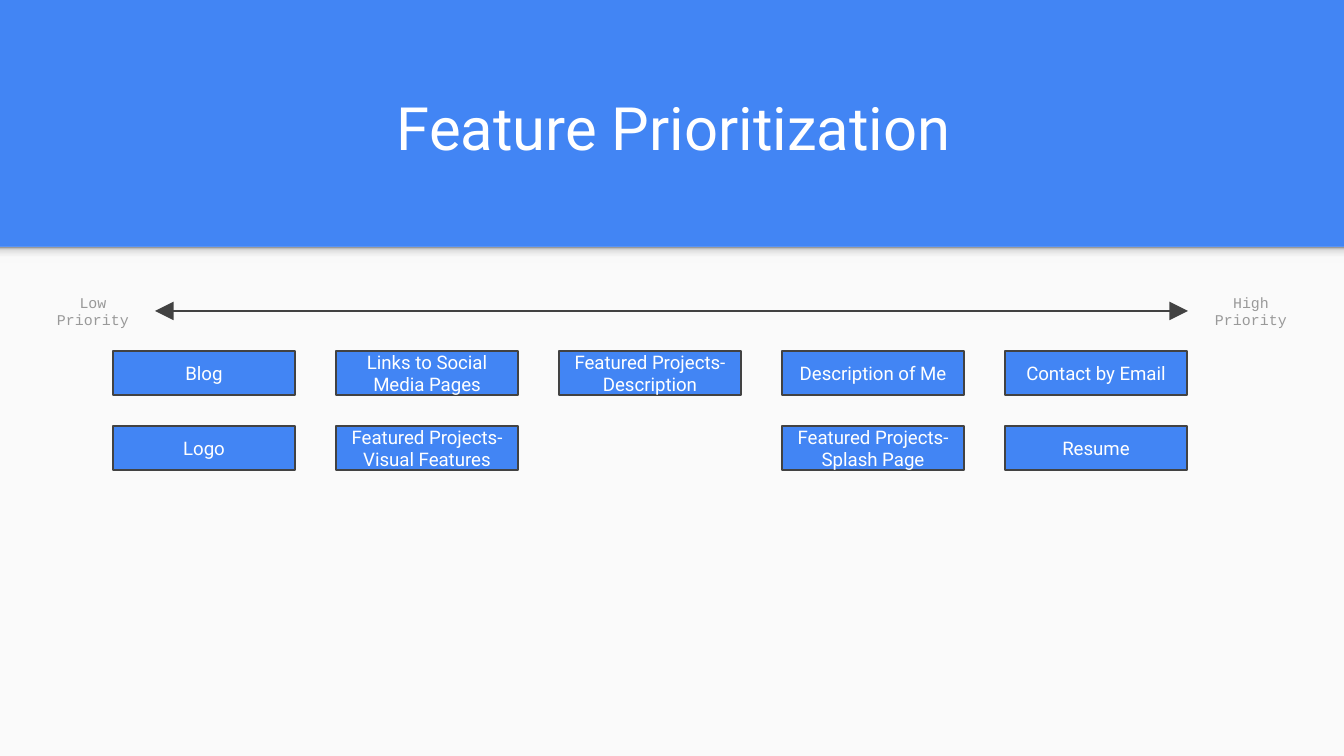
from dataclasses import dataclass

from lxml.etree import SubElement
from pptx import Presentation
from pptx.dml.color import RGBColor
from pptx.enum.shapes import MSO_CONNECTOR, MSO_SHAPE
from pptx.enum.text import MSO_ANCHOR, MSO_AUTO_SIZE, PP_ALIGN
from pptx.oxml.ns import qn
from pptx.shapes.autoshape import Shape
from pptx.shapes.connector import Connector
from pptx.slide import Slide
from pptx.util import Emu, Pt

BLUE = RGBColor(0x42, 0x85, 0xF4)
WHITE = RGBColor(0xFF, 0xFF, 0xFF)
PAPER = RGBColor(0xFA, 0xFA, 0xFA)
DARK = RGBColor(0x42, 0x42, 0x42)
GRAY = RGBColor(0x99, 0x99, 0x99)
SHADE_STOPS = [
    (0, RGBColor(0xF9, 0xF9, 0xF9)),
    (36, RGBColor(0xF9, 0xF9, 0xF9)),
    (80, RGBColor(0xDE, 0xDE, 0xDE)),
    (100, GRAY),
]

PX_PER_INCH = 134.4
SLIDE_W, SLIDE_H = 1344, 756
BAND_H = 247
GRID_X, GRID_Y = 113, 351
STEP_X, STEP_Y = 223, 75
CARD_W, CARD_H = 182, 44
INSET = 13


@dataclass(frozen=True)
class Box:
    x: int
    y: int
    w: int
    h: int


@dataclass(frozen=True)
class Style:
    font: str
    size: int
    color: RGBColor
    anchor: MSO_ANCHOR = MSO_ANCHOR.MIDDLE


@dataclass(frozen=True)
class Feature:
    name: str
    col: int
    row: int


TITLE_STYLE = Style("Roboto", 32, WHITE, MSO_ANCHOR.BOTTOM)
CARD_STYLE = Style("Roboto", 10, WHITE)
LABEL_STYLE = Style("Courier New", 8, GRAY)

FEATURES = [
    Feature("Blog", 0, 0),
    Feature("Logo", 0, 1),
    Feature("Links to Social Media Pages", 1, 0),
    Feature("Featured Projects- Visual Features", 1, 1),
    Feature("Featured Projects- Description", 2, 0),
    Feature("Description of Me", 3, 0),
    Feature("Featured Projects- Splash Page", 3, 1),
    Feature("Contact by Email", 4, 0),
    Feature("Resume", 4, 1),
]


def px(n: int) -> Emu:
    return Emu(round(n * 914400 / PX_PER_INCH))


def bounds(box: Box) -> tuple[Emu, Emu, Emu, Emu]:
    return px(box.x), px(box.y), px(box.w), px(box.h)


def write(sp: Shape, text: str, style: Style) -> None:
    tf = sp.text_frame
    tf.text = text
    tf.word_wrap = True
    tf.auto_size = MSO_AUTO_SIZE.NONE
    tf.vertical_anchor = style.anchor
    tf.margin_left = tf.margin_right = px(INSET)
    tf.margin_top = tf.margin_bottom = px(INSET)
    p = tf.paragraphs[0]
    p.alignment = PP_ALIGN.CENTER
    p.line_spacing = 1.0
    p.space_before = Pt(0)
    r = p.runs[0]
    r.font.name = style.font
    r.font.size = Pt(style.size)
    r.font.color.rgb = style.color


def add_rect(s: Slide, box: Box, fill: RGBColor) -> Shape:
    sp = s.shapes.add_shape(MSO_SHAPE.RECTANGLE, *bounds(box))
    sp.shadow.inherit = False
    sp.fill.solid()
    sp.fill.fore_color.rgb = fill
    sp.line.fill.background()
    return sp


def add_shade(s: Slide, box: Box) -> None:
    sp = add_rect(s, box, PAPER)
    sp.fill.gradient()
    sp.fill.gradient_angle = 90
    stops = sp._element.spPr.find(".//" + qn("a:gsLst"))
    stops.clear()
    for percent, color in SHADE_STOPS:
        gs = SubElement(stops, qn("a:gs"), pos=str(percent * 1000))
        SubElement(gs, qn("a:srgbClr"), val=str(color))


def add_title(s: Slide, text: str, box: Box) -> None:
    sp = s.shapes.title
    sp.left, sp.top, sp.width, sp.height = bounds(box)
    write(sp, text, TITLE_STYLE)


def add_label(s: Slide, text: str, box: Box) -> Shape:
    sp = s.shapes.add_textbox(*bounds(box))
    write(sp, text, LABEL_STYLE)
    return sp


def add_axis(s: Slide, low: Shape, high: Shape) -> Connector:
    axis = s.shapes.add_connector(MSO_CONNECTOR.STRAIGHT, 0, 0, 0, 0)
    axis.begin_connect(low, 3)
    axis.end_connect(high, 1)
    axis.line.color.rgb = DARK
    axis.line.width = Pt(0.75)
    ln = axis.line._get_or_add_ln()
    for end in ("a:headEnd", "a:tailEnd"):
        SubElement(ln, qn(end), type="triangle", w="lg", len="lg")
    SubElement(axis._element.spPr, qn("a:effectLst"))
    return axis


def add_card(s: Slide, feature: Feature) -> None:
    x = GRID_X + feature.col * STEP_X
    y = GRID_Y + feature.row * STEP_Y
    sp = add_rect(s, Box(x, y, CARD_W, CARD_H), BLUE)
    sp.line.color.rgb = DARK
    sp.line.width = Pt(0.75)
    write(sp, feature.name, CARD_STYLE)


def main() -> None:
    prs = Presentation()
    prs.slide_width, prs.slide_height = px(SLIDE_W), px(SLIDE_H)
    s = prs.slides.add_slide(prs.slide_layouts[5])
    s.background.fill.solid()
    s.background.fill.fore_color.rgb = BLUE

    add_rect(s, Box(0, BAND_H, SLIDE_W, SLIDE_H - BAND_H), PAPER)
    add_shade(s, Box(0, BAND_H, SLIDE_W, 16))
    add_title(s, "Feature Prioritization", Box(70, 62, 1208, 113))

    low = add_label(s, "Low Priority", Box(31, 287, 124, 48))
    high = add_label(s, "High Priority", Box(1188, 287, 126, 48))
    add_axis(s, low, high)
    for feature in FEATURES:
        add_card(s, feature)

    prs.save("out.pptx")


if __name__ == "__main__":
    main()
